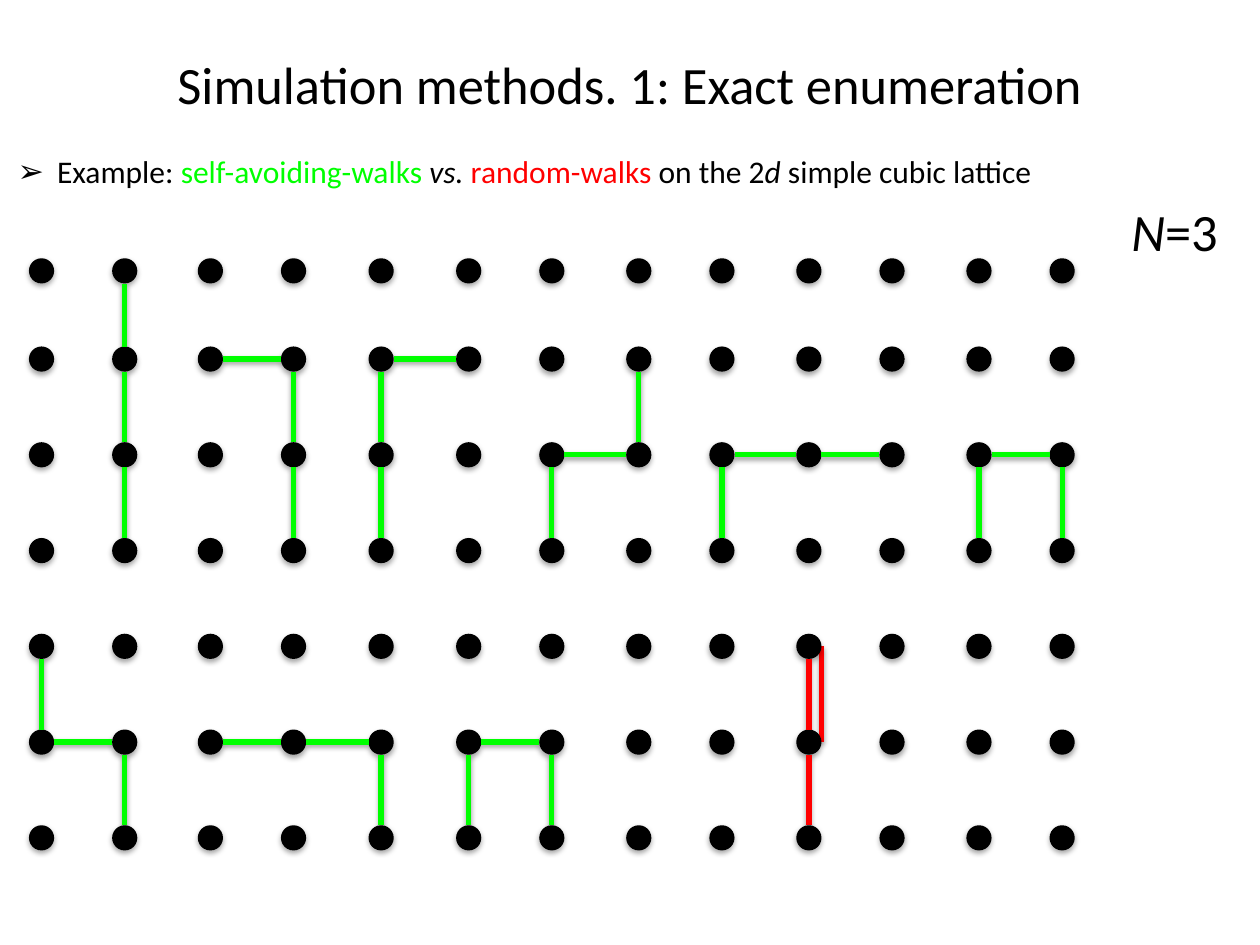
import itertools
from dataclasses import dataclass

import pptx
import pptx.dml.color
import pptx.enum.shapes
import pptx.enum.text
import pptx.oxml
import pptx.oxml.ns
import pptx.util

Pt = pptx.util.Pt


@dataclass(frozen=True)
class Theme:
    font: str = "Calibri"
    ink: str = "000000"
    avoiding: str = "00FF00"
    random: str = "FF0000"
    heading_size: float = 30
    body_size: float = 18
    bond_width: float = 3


# Lattice geometry, in points
COLUMNS = [23.76, 71.28, 120.24, 167.76, 217.8, 267.84, 315.36,
           365.04, 412.56, 462.24, 509.76, 559.44, 606.96]
ROW_STEP = 54.72
ROWS = [154.8] + [205.2 + ROW_STEP * row for row in range(6)]
SITE_RADIUS = 7.2

# Each walk is a list of (column, row) lattice sites
AVOIDING_WALKS = [
    [(1, 3), (1, 2), (1, 1), (1, 0)],
    [(3, 3), (3, 2), (3, 1), (2, 1)],
    [(4, 3), (4, 2), (4, 1), (5, 1)],
    [(6, 3), (6, 2), (7, 2), (7, 1)],
    [(8, 3), (8, 2), (9, 2), (10, 2)],
    [(11, 3), (11, 2), (12, 2), (12, 3)],
    [(1, 6), (1, 5), (0, 5), (0, 4)],
    [(4, 6), (4, 5), (3, 5), (2, 5)],
    [(5, 6), (5, 5), (6, 5), (6, 6)],
]
RANDOM_WALK = [(9, 6), (9, 5), (9, 4)]
RETURN_STEP = [(9, 4), (9, 5)]


def add_run(paragraph, text, *, font, size, color, italic=False):
    run = paragraph.add_run()
    run.text = text
    run.font.name = font
    run.font.size = Pt(size)
    run.font.italic = italic
    run.font.color.rgb = pptx.dml.color.RGBColor.from_string(color)


class LatticeSlide:
    def __init__(self, slide, theme):
        self.slide = slide
        self.theme = theme

    def add_pieces(self, paragraph, pieces, size):
        """Put (text, color, italic) pieces into one paragraph."""
        for text, color, italic in pieces:
            add_run(paragraph, text, font=self.theme.font, size=size,
                    color=color, italic=italic)

    def place(self, box, left, top, width, height):
        box.left, box.top, box.width, box.height = map(Pt, (left, top, width, height))

    def title(self, text, *frame):
        heading = self.slide.shapes.title
        self.place(heading, *frame)
        heading.text_frame.vertical_anchor = pptx.enum.text.MSO_ANCHOR.MIDDLE
        paragraph = heading.text_frame.paragraphs[0]
        paragraph.alignment = pptx.enum.text.PP_ALIGN.CENTER
        self.add_pieces(paragraph, [(text, self.theme.ink, False)],
                        self.theme.heading_size)

    def bullet(self, pieces, *frame):
        body = self.slide.placeholders[1]
        self.place(body, *frame)
        body.text_frame.auto_size = pptx.enum.text.MSO_AUTO_SIZE.SHAPE_TO_FIT_TEXT
        paragraph = body.text_frame.paragraphs[0]
        paragraph.space_before = Pt(0)
        properties = paragraph._p.get_or_add_pPr()
        properties.set("marL", str(Pt(22.5)))
        properties.set("indent", str(-Pt(22.5)))
        properties.append(pptx.oxml.parse_xml(
            f'<a:buChar {pptx.oxml.ns.nsdecls("a")} char="➢"/>'))
        self.add_pieces(paragraph, pieces, self.theme.body_size)

    def label(self, pieces, *frame):
        box = self.slide.shapes.add_textbox(*map(Pt, frame))
        box.text_frame.word_wrap = False
        box.text_frame.auto_size = pptx.enum.text.MSO_AUTO_SIZE.SHAPE_TO_FIT_TEXT
        self.add_pieces(box.text_frame.paragraphs[0], pieces, self.theme.heading_size)

    def shadow(self, shape, distance, opacity):
        """Give the shape a soft shadow falling straight down."""
        shape._element.spPr.append(pptx.oxml.parse_xml(
            f'<a:effectLst {pptx.oxml.ns.nsdecls("a")}>'
            f'<a:outerShdw blurRad="{Pt(3.1)}" dist="{Pt(distance)}" dir="5400000" '
            f'rotWithShape="0"><a:srgbClr val="{self.theme.ink}">'
            f'<a:alpha val="{opacity * 1000}"/></a:srgbClr></a:outerShdw></a:effectLst>'))

    def site(self, x, y):
        dot = self.slide.shapes.add_shape(
            pptx.enum.shapes.MSO_SHAPE.OVAL, Pt(x - SITE_RADIUS), Pt(y - SITE_RADIUS),
            Pt(2 * SITE_RADIUS), Pt(2 * SITE_RADIUS))
        dot.fill.solid()
        dot.fill.fore_color.rgb = pptx.dml.color.RGBColor.from_string(self.theme.ink)
        dot.line.fill.background()
        self.shadow(dot, 1.8, 35)

    def bond(self, x1, y1, x2, y2, color):
        step = self.slide.shapes.add_connector(
            pptx.enum.shapes.MSO_CONNECTOR.STRAIGHT, Pt(x1), Pt(y1), Pt(x2), Pt(y2))
        step.line.color.rgb = pptx.dml.color.RGBColor.from_string(color)
        step.line.width = Pt(self.theme.bond_width)
        self.shadow(step, 1.6, 38)

    def walk(self, sites, color, shift=0, trim=SITE_RADIUS):
        """Join consecutive sites, stopping each bond short by trim."""
        for (c1, r1), (c2, r2) in itertools.pairwise(sites):
            dx = trim * ((c2 > c1) - (c2 < c1))
            dy = trim * ((r2 > r1) - (r2 < r1))
            self.bond(COLUMNS[c1] + shift + dx, ROWS[r1] + dy,
                      COLUMNS[c2] + shift - dx, ROWS[r2] - dy, color)


def main():
    theme = Theme()
    deck = pptx.Presentation()
    deck.slide_width, deck.slide_height = Pt(720), Pt(540)
    page = LatticeSlide(deck.slides.add_slide(deck.slide_layouts[1]), theme)

    # Heading and example line
    page.title("Simulation methods. 1: Exact enumeration", 0, 2.88, 720, 90)
    page.bullet([
        ("Example: ", theme.ink, False),
        ("self-avoiding-walks ", theme.avoiding, False),
        ("vs. ", theme.ink, True),
        ("random-walks", theme.random, False),
        (" on the 2", theme.ink, False),
        ("d", theme.ink, True),
        (" simple cubic lattice", theme.ink, False),
    ], 2.88, 83.5, 715, 29)

    # The step back lies behind the lattice
    page.walk(RETURN_STEP, theme.random, shift=SITE_RADIUS, trim=0)

    # Lattice sites
    for x, y in itertools.product(COLUMNS, ROWS):
        page.site(x, y)

    # Walks
    for sites in AVOIDING_WALKS:
        page.walk(sites, theme.avoiding)
    page.walk(RANDOM_WALK, theme.random)

    # Walk length
    page.label([("N", theme.ink, True), ("=3", theme.ink, False)],
               639.36, 110.16, 66.24, 43.92)

    deck.save("out.pptx")


if __name__ == "__main__":
    main()
